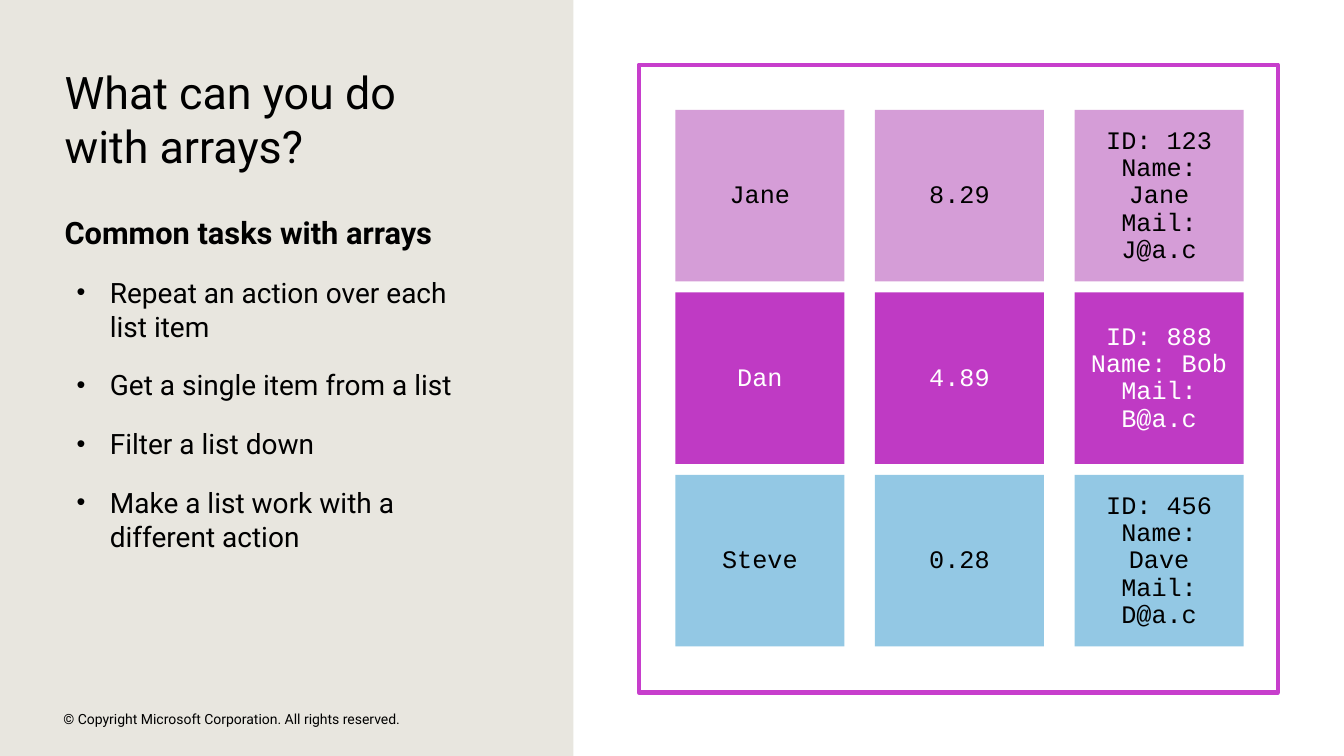
from lxml import etree
from pptx import Presentation
from pptx.dml.color import RGBColor
from pptx.enum.shapes import MSO_SHAPE
from pptx.enum.text import MSO_ANCHOR, PP_ALIGN
from pptx.oxml.ns import qn
from pptx.util import Cm, Pt

RECTANGLE = MSO_SHAPE.RECTANGLE
TOP, MIDDLE = MSO_ANCHOR.TOP, MSO_ANCHOR.MIDDLE
CENTER = PP_ALIGN.CENTER

COLORS = {
    "sand": "E8E6DF",
    "white": "FFFFFF",
    "black": "000000",
    "frame": "C73ECC",
    "lilac": "D59DD7",
    "magenta": "BF3AC4",
    "sky": "93C8E4",
}


def color(name):
    return RGBColor.from_string(COLORS[name])


def add_box(left, top, width, height, fill=None, text="", size=18,
            font="Roboto", ink="black", anchor=MIDDLE):
    """Add a filled rectangle, or a text box without margins if there is no fill."""
    place = Cm(left), Cm(top), Cm(width), Cm(height)
    if fill:
        box = slide.shapes.add_shape(RECTANGLE, *place)
        box.shadow.inherit = False
        box.fill.solid()
        box.fill.fore_color.rgb = color(fill)
        box.line.fill.background()
    else:
        box = slide.shapes.add_textbox(*place)
    frame = box.text_frame
    frame.word_wrap = True
    frame.vertical_anchor = anchor
    if not fill:
        frame.margin_left = frame.margin_top = 0
        frame.margin_right = frame.margin_bottom = 0
    if text:
        frame.text = text
    for paragraph in frame.paragraphs:
        for run in paragraph.runs:
            run.font.name = font
            run.font.size = Pt(size)
            run.font.color.rgb = color(ink)
    return box


prs = Presentation()
prs.slide_width, prs.slide_height = Cm(33.87), Cm(19.05)
slide = prs.slides.add_slide(prs.slide_layouts[6])
slide.background.fill.solid()
slide.background.fill.fore_color.rgb = color("sand")

# Left column: title, tasks and copyright line
add_box(1.6, 17.83, 11.53, 0.56, size=10,
        text="© Copyright Microsoft Corporation. All rights reserved.")
add_box(14.45, 0, 19.42, 19.05, fill="white")
add_box(1.63, 1.63, 8.69, 2.74, size=32, anchor=TOP,
        text="What can you do with arrays?")

TASKS = [
    "Common tasks with arrays",
    "Repeat an action over each list item",
    "Get a single item from a list",
    "Filter a list down",
    "Make a list work with a different action",
]
tasks = add_box(1.63, 5.33, 10.46, 8.64, text="\n".join(TASKS), size=20)
heading, *items = tasks.text_frame.paragraphs
heading.space_after = Pt(6)
heading.runs[0].font.size = Pt(22)
heading.runs[0].font.bold = True
for item in items:
    item.level = 1
    item.space_before, item.space_after = Pt(12), Pt(6)
    properties = item._p.get_or_add_pPr()
    properties.set("marL", str(Cm(1.14)))
    properties.set("indent", str(-Cm(0.84)))
    etree.SubElement(properties, qn("a:buSzPct"), val="90000")
    etree.SubElement(properties, qn("a:buFont"), typeface="Arial")
    etree.SubElement(properties, qn("a:buChar"), char="•")

# Right column: three arrays, one per grid column
arrays_frame = add_box(16.1, 1.63, 16.1, 15.82, fill="white")
arrays_frame.line.color.rgb = color("frame")
arrays_frame.line.width = Pt(3)

ARRAYS = [
    ["Jane", "Dan", "Steve"],
    ["8.29", "4.89", "0.28"],
    ["ID: 123\nName: Jane\nMail: J@a.c",
     "ID: 888\nName: Bob\nMail: B@a.c",
     "ID: 456\nName: Dave\nMail: D@a.c"],
]
ROW_COLORS = [("lilac", "black"), ("magenta", "white"), ("sky", "black")]
for column, array in enumerate(ARRAYS):
    for row, (value, (fill, ink)) in enumerate(zip(array, ROW_COLORS)):
        cell = add_box(17.02 + 5.03 * column, 2.77 + 4.6 * row, 4.26, 4.32,
                       fill=fill, text=value, font="Courier New", ink=ink)
        for paragraph in cell.text_frame.paragraphs:
            paragraph.alignment = CENTER
            paragraph.line_spacing = 0.9

prs.save("out.pptx")
